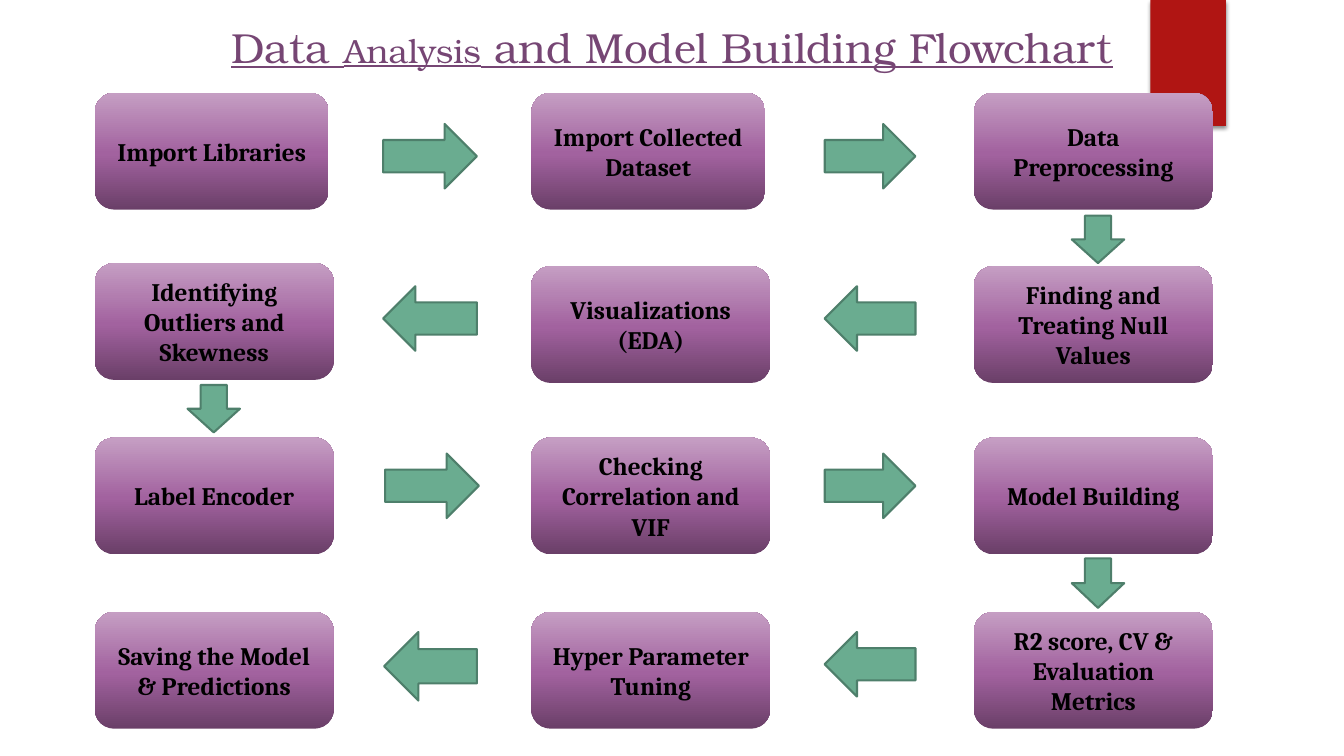
from copy import deepcopy

from pptx import Presentation
from pptx.dml.color import RGBColor
from pptx.enum.shapes import MSO_SHAPE
from pptx.enum.text import MSO_ANCHOR, MSO_AUTO_SIZE, PP_ALIGN
from pptx.oxml import parse_xml
from pptx.oxml.ns import nsdecls, qn
from pptx.util import Inches, Pt

RIGHT, LEFT, DOWN = MSO_SHAPE.RIGHT_ARROW, MSO_SHAPE.LEFT_ARROW, MSO_SHAPE.DOWN_ARROW
COLUMNS = (0.94, 5.27, 9.66)
BOX_GRADIENT = ((0, "6A3F68"), (0.48, "A2629F"), (1, "C59EC3"))

# Each row: labels, box tops, box widths
BOX_ROWS = (
    (("Import Libraries", "Import Collected Dataset", "Data Preprocessing"),
     (0.92, 0.92, 0.92), (2.32, 2.32, 2.37)),
    (("Identifying Outliers and Skewness", "Visualizations\n(EDA)",
      "Finding and Treating Null Values"),
     (2.61, 2.64, 2.64), (2.37, 2.37, 2.37)),
    (("Label Encoder", "Checking Correlation and VIF", "Model Building"),
     (4.34, 4.34, 4.34), (2.37, 2.37, 2.37)),
    (("Saving the Model & Predictions", "Hyper Parameter Tuning",
      "R2 score, CV & Evaluation Metrics"),
     (6.07, 6.07, 6.07), (2.37, 2.37, 2.37)),
)

# Each row: direction, top, then left, width and height of the first arrow
ARROW_ROWS = (
    (RIGHT, 1.23, (3.8, 0.93, 0.64)),
    (LEFT, 2.84, (3.8, 0.93, 0.64)),
    (RIGHT, 4.5, (3.82, 0.93, 0.64)),
    (LEFT, 6.27, (3.81, 0.92, 0.68)),
)
DOWN_ARROWS = ((10.63, 2.14, 0.47), (1.86, 3.82, 0.47), (10.63, 5.54, 0.49))


def rgb(value):
    """Return the colour for a hex string."""
    return RGBColor.from_string(value)


def add_shape(slide, kind, left, top, width, height):
    """Add a preset shape without shadow or outline."""
    sp = slide.shapes.add_shape(
        kind, Inches(left), Inches(top), Inches(width), Inches(height))
    sp.shadow.inherit = False
    sp.line.fill.background()
    return sp


def add_ribbon(slide):
    """Add the red ribbon with its soft shadow."""
    sp = add_shape(slide, MSO_SHAPE.RECTANGLE, 11.41, 0, 0.75, 1.25)
    sp.fill.solid()
    sp.fill.fore_color.rgb = rgb("B01513")
    effects = sp._element.spPr.find(qn("a:effectLst"))
    effects.append(parse_xml(
        f'<a:outerShdw {nsdecls("a")} blurRad="{Pt(3)}" dist="{Pt(2)}" dir="5400000">'
        '<a:srgbClr val="000000"><a:alpha val="45000"/></a:srgbClr></a:outerShdw>'))


def add_title(slide):
    """Fill and place the underlined title."""
    title = slide.shapes.title
    title.left, title.top = Inches(0), Inches(0.16)
    title.width, title.height = Inches(13.33), Inches(0.61)
    tf = title.text_frame
    tf.word_wrap = True
    tf.auto_size = MSO_AUTO_SIZE.SHAPE_TO_FIT_TEXT
    tf.vertical_anchor = MSO_ANCHOR.TOP
    p = tf.paragraphs[0]
    p.alignment = PP_ALIGN.CENTER
    p.font.name = "TeX Gyre Bonum"
    p.font.underline = True
    p.font.color.rgb = rgb("764674")
    for text, size in (("Data ", 30), ("Analysis", 24),
                       (" and Model Building Flowchart", 30)):
        r = p.add_run()
        r.text = text
        r.font.size = Pt(size)


def add_arrow(slide, kind, left, top, width, height):
    """Add a green block arrow."""
    sp = add_shape(slide, kind, left, top, width, height)
    sp.fill.solid()
    sp.fill.fore_color.rgb = rgb("6AAC90")
    sp.line.color.rgb = rgb("4E7F6B")
    sp.line.width = Pt(1.5)


def add_box(slide, label, left, top, width):
    """Add a purple step box with its label."""
    sp = add_shape(slide, MSO_SHAPE.FLOWCHART_ALTERNATE_PROCESS, left, top, width, 1.16)
    sp.fill.gradient()
    sp.fill.gradient_angle = 90
    stops = sp._element.spPr.find(qn("a:gradFill")).find(qn("a:gsLst"))
    stops.append(deepcopy(stops[-1]))
    for stop, (position, color) in zip(sp.fill.gradient_stops, BOX_GRADIENT):
        stop.position = position
        stop.color.rgb = rgb(color)
    tf = sp.text_frame
    tf.word_wrap = True
    tf.vertical_anchor = MSO_ANCHOR.MIDDLE
    tf.text = label
    for p in tf.paragraphs:
        p.alignment = PP_ALIGN.CENTER
        p.font.name = "Cambria"
        p.font.size = Pt(18)
        p.font.bold = True
        p.font.color.rgb = rgb("000000")


def main():
    """Build the flowchart slide."""
    prs = Presentation()
    prs.slide_width, prs.slide_height = Inches(13.33), Inches(7.5)
    slide = prs.slides.add_slide(prs.slide_layouts[5])
    add_ribbon(slide)
    add_title(slide)
    for kind, top, (left, width, height) in ARROW_ROWS:
        add_arrow(slide, kind, left, top, width, height)
        add_arrow(slide, kind, 8.18, top, 0.9, 0.64)
    for left, top, height in DOWN_ARROWS:
        add_arrow(slide, DOWN, left, top, 0.52, height)
    for labels, tops, widths in BOX_ROWS:
        for label, left, top, width in zip(labels, COLUMNS, tops, widths):
            add_box(slide, label, left, top, width)
    prs.save("out.pptx")


if __name__ == "__main__":
    main()
